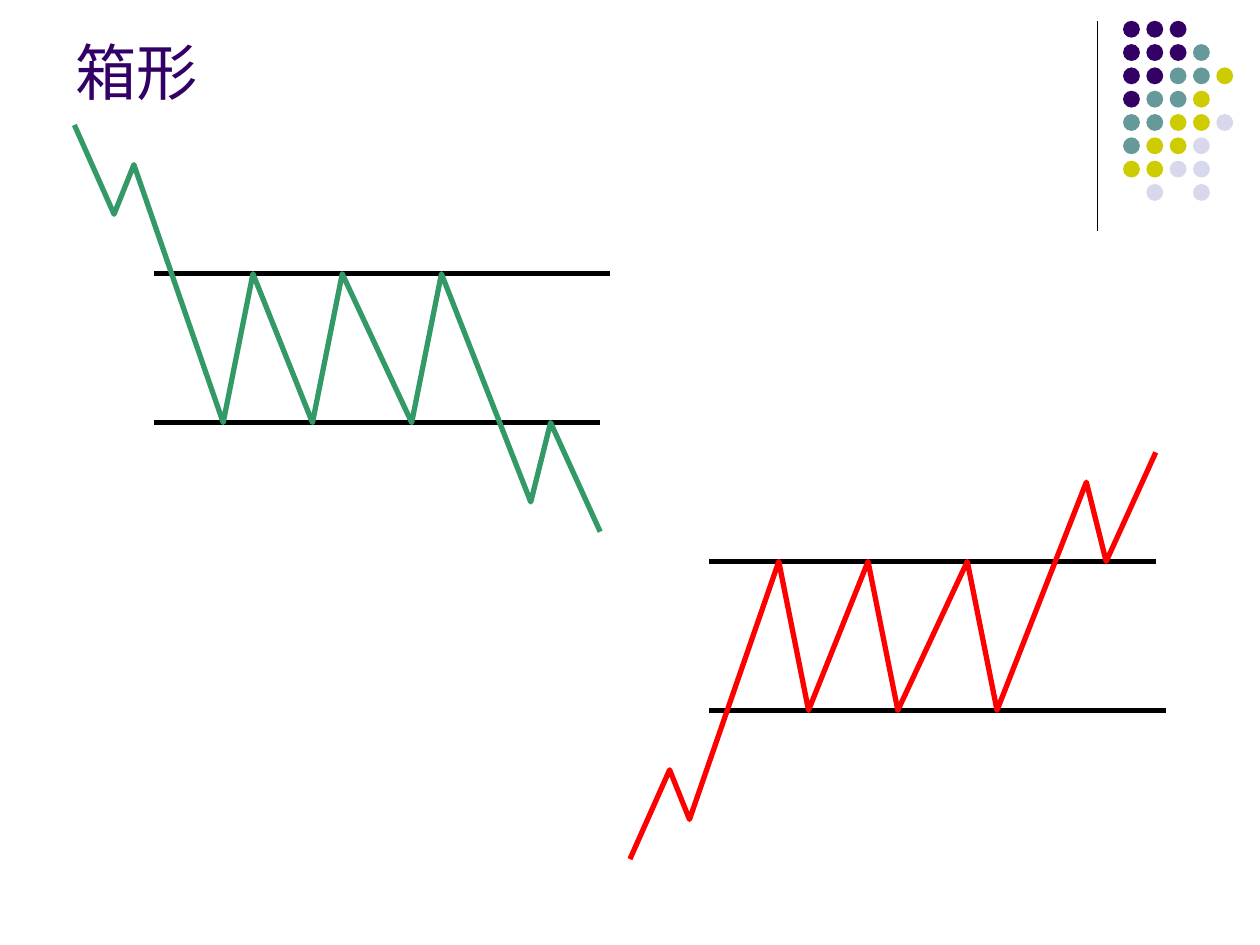
from lxml.etree import SubElement
from pptx import Presentation
from pptx.dml.color import RGBColor
from pptx.enum.shapes import MSO_CONNECTOR, MSO_SHAPE
from pptx.enum.text import MSO_ANCHOR, MSO_AUTO_SIZE, PP_ALIGN
from pptx.oxml.ns import qn
from pptx.util import Cm, Pt

BLACK = RGBColor(0x00, 0x00, 0x00)
PURPLE = RGBColor(0x33, 0x00, 0x66)
TEAL = RGBColor(0x66, 0x99, 0x99)
OLIVE = RGBColor(0xCC, 0xCC, 0x00)
LAVENDER = RGBColor(0xD8, 0xD8, 0xEC)
GREEN = RGBColor(0x33, 0x99, 0x66)
RED = RGBColor(0xFF, 0x00, 0x00)

DOT_COLORS = {"P": PURPLE, "T": TEAL, "O": OLIVE, "L": LAVENDER}
DOT_ROWS = ["PPP", "PPPT", "PPTTO", "PTTO", "TTOOL", "TOOL", "OOLL", ".L.L"]
DOT_LEFT, DOT_TOP, DOT_PITCH, DOT_SIZE = 22.64, 0.42, 0.47, 0.34

# Price path and box limits in grid units, measured from the start of the path
GRID = 0.2
BOX_TOP, BOX_BOTTOM = 15, 30
PRICE_PATH = [(0, 0), (4, 9), (6, 4), (15, BOX_BOTTOM), (18, BOX_TOP),
              (24, BOX_BOTTOM), (27, BOX_TOP), (34, BOX_BOTTOM), (37, BOX_TOP),
              (46, 38), (48, BOX_BOTTOM), (53, 41)]
BOX_LIMITS = [(8, 53, BOX_BOTTOM), (8, 54, BOX_TOP)]


def add_title(slide, text):
    title = slide.shapes.title
    place = {"left": Cm(1.27), "top": Cm(0.33), "width": Cm(20.96), "height": Cm(1.98)}
    for name, value in place.items():
        setattr(title, name, value)
    frame = title.text_frame
    frame_format = {"text": text, "vertical_anchor": MSO_ANCHOR.BOTTOM,
                    "auto_size": MSO_AUTO_SIZE.NONE, "word_wrap": True}
    for name, value in frame_format.items():
        setattr(frame, name, value)
    paragraph = frame.paragraphs[0]
    paragraph.alignment = PP_ALIGN.LEFT
    font = paragraph.runs[0].font
    for name, value in {"name": "Arial", "size": Pt(35), "bold": False}.items():
        setattr(font, name, value)
    font.color.rgb = PURPLE


def add_line(shapes, start, end, width):
    line = shapes.add_connector(MSO_CONNECTOR.STRAIGHT, *map(Cm, (*start, *end)))
    line.line.color.rgb = BLACK
    line.line.width = Pt(width)
    SubElement(line._element.spPr, qn("a:effectLst"))


def add_dot(shapes, left, top, color):
    dot = shapes.add_shape(MSO_SHAPE.OVAL, Cm(left), Cm(top), Cm(DOT_SIZE), Cm(DOT_SIZE))
    dot.shadow.inherit = False
    dot.fill.solid()
    dot.fill.fore_color.rgb = color
    dot.line.fill.background()


def add_dot_pattern(slide):
    group = slide.shapes.add_group_shape()
    for row, codes in enumerate(DOT_ROWS):
        for column, code in enumerate(codes):
            if code in DOT_COLORS:
                add_dot(group.shapes, DOT_LEFT + column * DOT_PITCH,
                        DOT_TOP + row * DOT_PITCH, DOT_COLORS[code])


def add_price_path(shapes, left, top, direction, color):
    points = [(x, direction * y) for x, y in PRICE_PATH]
    builder = shapes.build_freeform(*points[0], scale=Cm(GRID))
    builder.add_line_segments(points[1:], close=False)
    path = builder.convert_to_shape(Cm(left), Cm(top))
    path.shadow.inherit = False
    path.fill.background()
    path.line.color.rgb = color
    path.line.width = Pt(3)


def add_box_pattern(slide, left, top, direction, color):
    """Draw a box pattern; direction 1 runs down from its start, -1 runs up."""
    shapes = slide.shapes.add_group_shape().shapes
    for start, end, level in BOX_LIMITS:
        y = top + direction * level * GRID
        add_line(shapes, (left + start * GRID, y), (left + end * GRID, y), 3)
    add_price_path(shapes, left, top, direction, color)


def main():
    presentation = Presentation()
    presentation.slide_width, presentation.slide_height = Cm(25.4), Cm(19.05)
    slide = presentation.slides.add_slide(presentation.slide_layouts[5])
    add_line(slide.shapes, (22.12, 0.43), (22.12, 4.65), 0.75)
    add_dot_pattern(slide)
    add_title(slide, "箱形")
    add_box_pattern(slide, 1.5, 2.52, 1, GREEN)
    add_box_pattern(slide, 12.7, 17.32, -1, RED)
    presentation.save("out.pptx")


if __name__ == "__main__":
    main()
